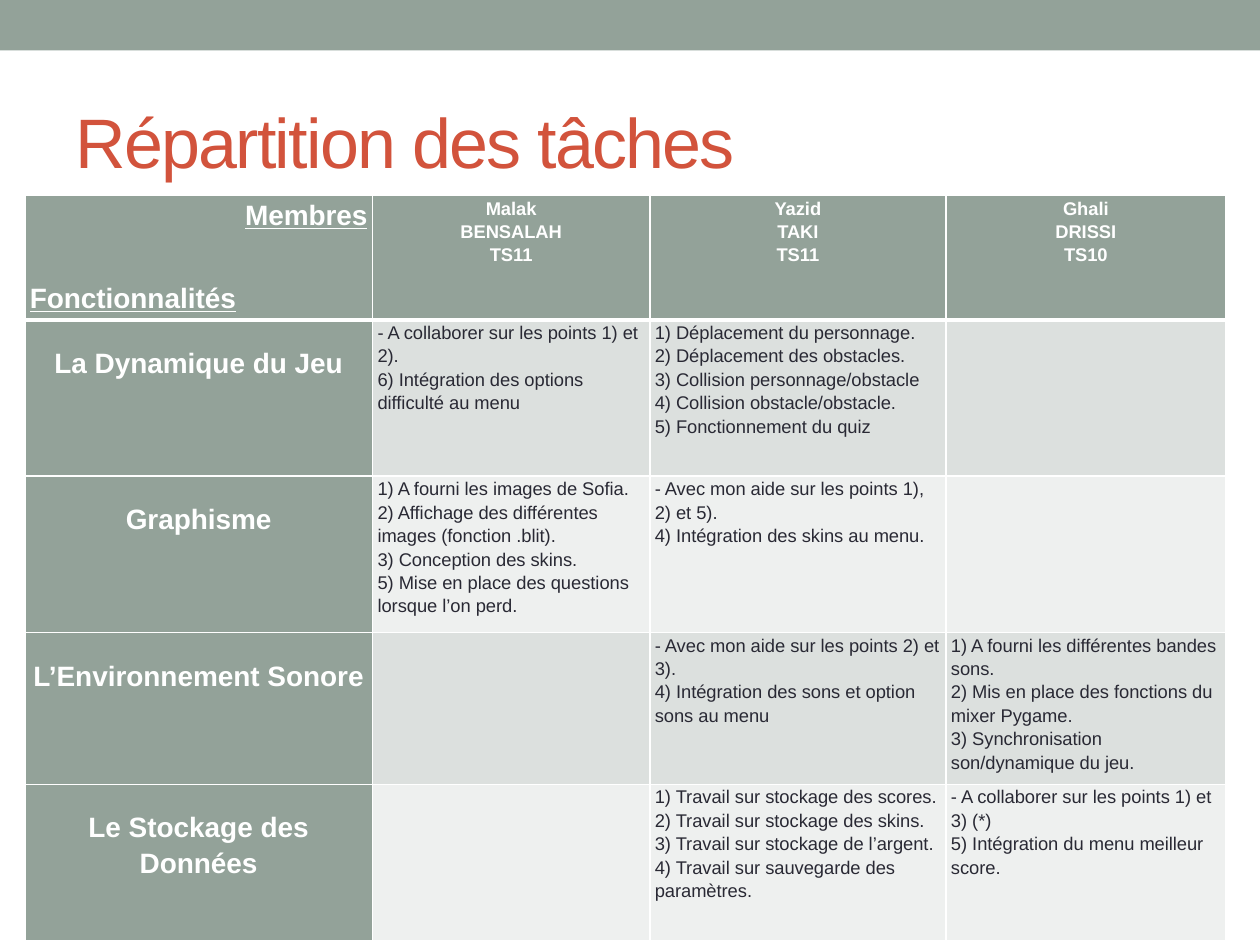
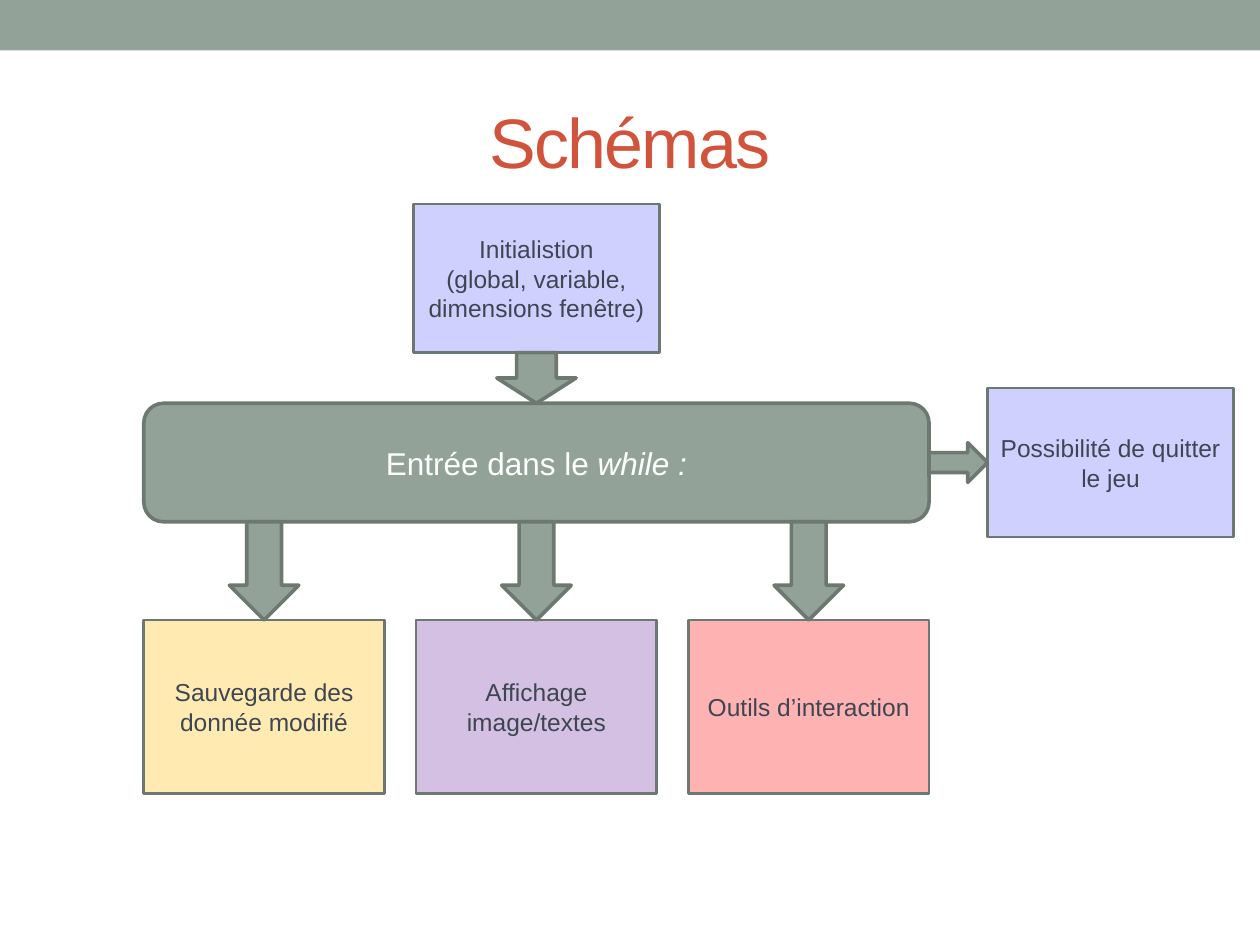
from dataclasses import dataclass

from lxml import etree
from pptx import Presentation
from pptx.dml.color import RGBColor
from pptx.enum.shapes import MSO_SHAPE
from pptx.enum.text import MSO_ANCHOR, PP_ALIGN
from pptx.oxml.ns import qn
from pptx.util import Cm, Pt

LEFT, CENTER, RIGHT = PP_ALIGN.LEFT, PP_ALIGN.CENTER, PP_ALIGN.RIGHT
MIDDLE = MSO_ANCHOR.MIDDLE
RECTANGLE, ROUNDED = MSO_SHAPE.RECTANGLE, MSO_SHAPE.ROUNDED_RECTANGLE
DOWN_ARROW, RIGHT_ARROW = MSO_SHAPE.DOWN_ARROW, MSO_SHAPE.RIGHT_ARROW


@dataclass(frozen=True)
class Theme:
    font: str = "Arial"
    sage: str = "93A299"
    outline: str = "6D7871"
    title: str = "D2533C"
    white: str = "FFFFFF"
    body: str = "292934"
    box_text: str = "3E4652"
    row_bands: tuple = ("DCE0DE", "EEF0EF")
    blue: str = "6666FF"
    yellow: str = "FFC000"
    purple: str = "7030A0"
    red: str = "FF0000"
    box_opacity: int = 30
    title_size: float = 40
    loop_size: float = 18
    heading_size: float = 16
    box_size: float = 14
    body_size: float = 10.5
    box_line: float = 1.5
    thick_line: float = 2.08


THEME = Theme()

# Task table content
MEMBERS = [["Malak", "BENSALAH", "TS11"], ["Yazid", "TAKI", "TS11"], ["Ghali", "DRISSI", "TS10"]]
TASKS = [
    (["La Dynamique du Jeu"], [
        ["- A collaborer sur les points 1) et 2).",
         "6) Intégration des options difficulté au menu"],
        ["1) Déplacement du personnage.",
         "2) Déplacement des obstacles.",
         "3) Collision personnage/obstacle",
         "4) Collision obstacle/obstacle.",
         "5) Fonctionnement du quiz"],
        []]),
    (["Graphisme"], [
        ["1) A fourni les images de Sofia.",
         "2) Affichage des différentes images (fonction .blit).",
         "3) Conception des skins.",
         "5) Mise en place des questions lorsque l’on perd."],
        ["- Avec mon aide sur les points 1), 2) et 5).",
         "4) Intégration des skins au menu."],
        []]),
    (["L’Environnement Sonore"], [
        [],
        ["- Avec mon aide sur les points 2) et 3).",
         "4) Intégration des sons et option sons au menu"],
        ["1) A fourni les différentes bandes sons.",
         "2) Mis en place des fonctions du mixer Pygame.",
         "3) Synchronisation son/dynamique du jeu."]]),
    (["Le Stockage des", "Données"], [
        [],
        ["1) Travail sur stockage des scores.",
         "2) Travail sur stockage des skins.",
         "3) Travail sur stockage de l’argent.",
         "4) Travail sur sauvegarde des paramètres."],
        ["- A collaborer sur les points 1) et 3) (*)",
         "5) Intégration du menu meilleur score."]]),
]
COLUMN_WIDTHS = [7.01, 5.59, 5.97, 5.64]
ROW_HEIGHTS = [2.38, 3.15, 3.15, 2.84, 3.15]


def color(value):
    return RGBColor.from_string(value)


# Text
def write_lines(text_frame, lines, size, text_color, align=LEFT, bold=False, spacing=None):
    """Write one paragraph per line and return the paragraphs."""
    for index, line in enumerate(lines):
        paragraph = text_frame.paragraphs[0] if index == 0 else text_frame.add_paragraph()
        paragraph.add_run().text = line
        paragraph.alignment = align
        paragraph.line_spacing = spacing
        paragraph.font.name = THEME.font
        paragraph.font.size = Pt(size)
        paragraph.font.bold = bold
        paragraph.font.color.rgb = color(text_color)
    return text_frame.paragraphs


# Shapes
def add_block(slide, kind, left, top, width, height, fill=THEME.sage, line_width=None):
    shape = slide.shapes.add_shape(kind, Cm(left), Cm(top), Cm(width), Cm(height))
    shape.shadow.inherit = False
    shape.fill.solid()
    shape.fill.fore_color.rgb = color(fill)
    if line_width:
        shape.line.color.rgb = color(THEME.outline)
        shape.line.width = Pt(line_width)
    else:
        shape.line.fill.background()
    return shape


def add_arrow(slide, kind, left, top, width, height):
    return add_block(slide, kind, left, top, width, height, line_width=THEME.thick_line)


def add_tinted_box(slide, lines, fill, left, top, width, height):
    box = add_block(slide, RECTANGLE, left, top, width, height, fill, THEME.box_line)
    rgb = box.fill._xPr.find(qn("a:solidFill")).find(qn("a:srgbClr"))
    etree.SubElement(rgb, qn("a:alpha"), val=str(THEME.box_opacity * 1000))
    box.text_frame.word_wrap = True
    box.text_frame.vertical_anchor = MIDDLE
    write_lines(box.text_frame, lines, THEME.box_size, THEME.box_text, CENTER)


def add_titled_slide(presentation, title, align=LEFT):
    slide = presentation.slides.add_slide(presentation.slide_layouts[6])
    add_block(slide, RECTANGLE, 0, 0, 25.4, 1.02)
    text_frame = slide.shapes.add_textbox(Cm(1.27), Cm(1.47), Cm(22.86), Cm(2.74)).text_frame
    text_frame.word_wrap = True
    text_frame.vertical_anchor = MIDDLE
    paragraph = write_lines(text_frame, [title], THEME.title_size, THEME.title, align)[0]
    paragraph.runs[0]._r.get_or_add_rPr().set("spc", "-100")
    return slide


# Table cells
def style_cell(cell, fill, top_width=1, bottom_width=1, margin_top=0):
    cell.margin_left = cell.margin_right = Cm(0.1)
    cell.margin_top, cell.margin_bottom = Cm(margin_top), 0
    properties = cell._tc.get_or_add_tcPr()
    for side, width in (("L", 1), ("R", 1), ("T", top_width), ("B", bottom_width)):
        border = etree.SubElement(properties, qn(f"a:ln{side}"), w=str(Pt(width)))
        solid = etree.SubElement(border, qn("a:solidFill"))
        etree.SubElement(solid, qn("a:srgbClr"), val=THEME.white)
    cell.fill.solid()
    cell.fill.fore_color.rgb = color(fill)


def fill_cell(cell, lines, size, text_color, align=LEFT, bold=False):
    return write_lines(cell.text_frame, lines, size, text_color, align, bold, spacing=1.15)


def add_task_table(slide):
    table = slide.shapes.add_table(
        len(ROW_HEIGHTS), len(COLUMN_WIDTHS), Cm(0.5), Cm(3.94),
        Cm(sum(COLUMN_WIDTHS)), Cm(sum(ROW_HEIGHTS))).table
    table.first_row = table.horz_banding = False
    for column, width in zip(table.columns, COLUMN_WIDTHS):
        column.width = Cm(width)
    for row, height in zip(table.rows, ROW_HEIGHTS):
        row.height = Cm(height)

    # Header row
    for cell in table.rows[0].cells:
        style_cell(cell, THEME.sage, bottom_width=3)
    members, features = fill_cell(table.cell(0, 0), ["Membres", "Fonctionnalités"],
                                  THEME.heading_size, THEME.white, bold=True)
    members.alignment = RIGHT
    features.space_before = Pt(27)
    members.font.underline = features.font.underline = True
    for column, member in enumerate(MEMBERS, 1):
        fill_cell(table.cell(0, column), member, THEME.body_size, THEME.white, CENTER, True)

    # One row per feature
    for row, (feature, tasks) in enumerate(TASKS, 1):
        top_width = 3 if row == 1 else 1
        heading = table.cell(row, 0)
        style_cell(heading, THEME.sage, top_width, margin_top=0.48)
        fill_cell(heading, feature, THEME.heading_size, THEME.white, CENTER, True)
        for column, lines in enumerate(tasks, 1):
            cell = table.cell(row, column)
            style_cell(cell, THEME.row_bands[(row - 1) % 2], top_width)
            fill_cell(cell, lines, THEME.body_size, THEME.body)


# Flow diagram
def add_game_flow(slide):
    left, pitch, step_width, step_top = 2.9, 5.49, 4.85, 12.5
    loop_top, loop_width, loop_height = 8.13, 2 * pitch + step_width, 2.39
    loop_bottom, loop_right = loop_top + loop_height, left + loop_width
    center, middle = left + loop_width / 2, loop_top + loop_height / 2
    side_width, side_height, start_top = 4.96, 3, 4.11
    start_bottom = start_top + side_height
    exit_left = 19.91

    # Boxes
    steps = [(["Sauvegarde des donnée modifié"], THEME.yellow),
             (["Affichage image/textes"], THEME.purple),
             (["Outils d’interaction"], THEME.red)]
    for index, (lines, fill) in enumerate(steps):
        add_tinted_box(slide, lines, fill, left + index * pitch, step_top, step_width, 3.5)
    add_tinted_box(slide, ["Initialistion", "(global, variable, dimensions fenêtre)"], THEME.blue,
                   center - side_width / 2, start_top, side_width, side_height)
    add_tinted_box(slide, ["Possibilité de quitter le jeu"], THEME.blue,
                   exit_left, middle - side_height / 2, side_width, side_height)

    # Main loop
    loop = add_block(slide, ROUNDED, left, loop_top, loop_width, loop_height,
                     line_width=THEME.thick_line)
    loop.text_frame.vertical_anchor = MIDDLE
    paragraph = write_lines(loop.text_frame, ["Entrée dans le "],
                            THEME.loop_size, THEME.white, CENTER)[0]
    keyword = paragraph.add_run()
    keyword.text = "while :"
    keyword.font.italic = True

    # Arrows
    add_arrow(slide, DOWN_ARROW, center - 0.8, start_bottom, 1.6, loop_top - start_bottom)
    add_arrow(slide, RIGHT_ARROW, loop_right, middle - 0.4, exit_left - loop_right, 0.8)
    for index in range(len(steps)):
        step_center = left + index * pitch + step_width / 2
        add_arrow(slide, DOWN_ARROW, step_center - 0.7, loop_bottom, 1.4, step_top - loop_bottom)


def main():
    presentation = Presentation()
    presentation.slide_width, presentation.slide_height = Cm(25.4), Cm(19.05)
    add_task_table(add_titled_slide(presentation, "Répartition des tâches"))
    add_game_flow(add_titled_slide(presentation, "Schémas", CENTER))
    presentation.save("out.pptx")


if __name__ == "__main__":
    main()
